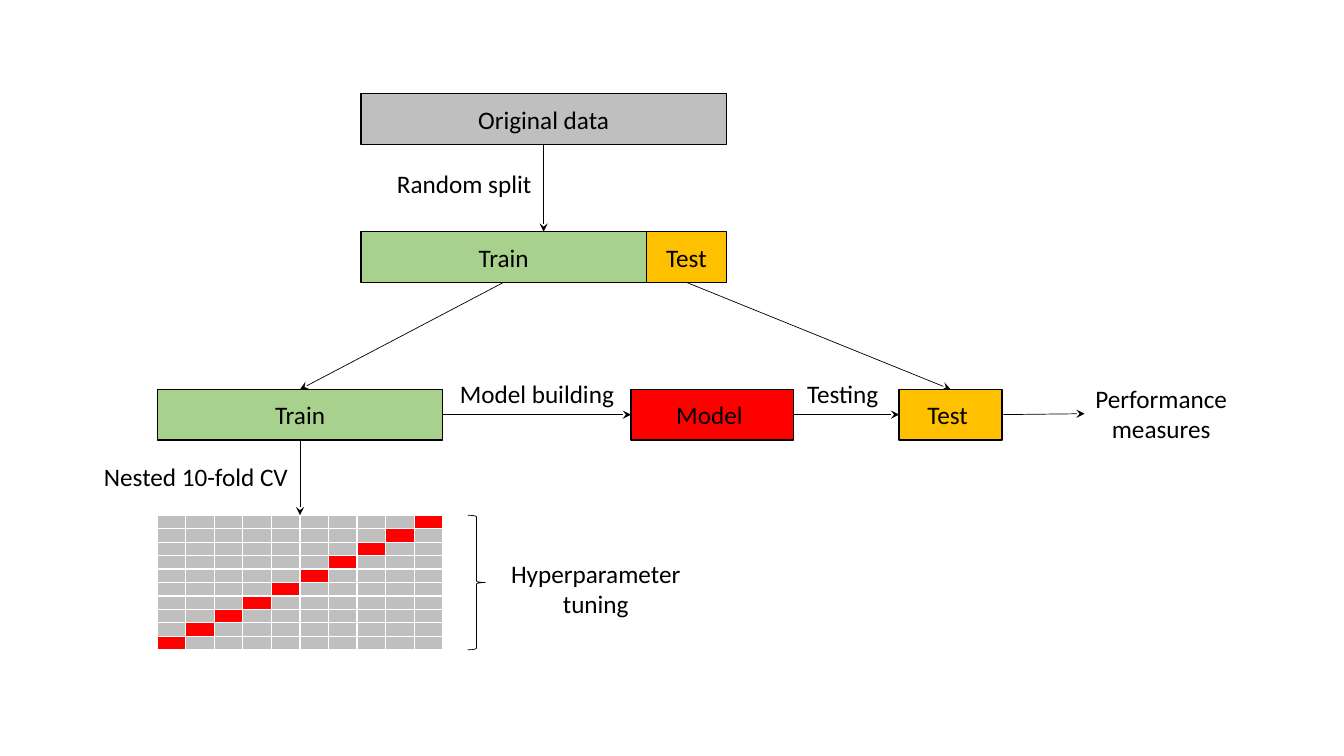
from pptx import Presentation
from pptx.dml.color import RGBColor
from pptx.enum.shapes import MSO_CONNECTOR as Link, MSO_SHAPE as Preset
from pptx.enum.text import MSO_ANCHOR as Anchor, MSO_AUTO_SIZE as Fit, PP_ALIGN as Align
from pptx.oxml.ns import qn
from pptx.util import Inches, Pt
from lxml.etree import SubElement

BLACK = RGBColor(0, 0, 0)
GRAY = RGBColor(0xBF, 0xBF, 0xBF)
GREEN = RGBColor(0xA9, 0xD1, 0x8E)
AMBER = RGBColor(0xFF, 0xC0, 0x00)
RED = RGBColor(0xFF, 0, 0)
TOP, LEFT, BOTTOM, RIGHT = range(4)


def assign(target, values):
    for name, value in values.items():
        setattr(target, name, value)


class Diagram:
    FONT = {"name": "Calibri", "size": Pt(18)}
    LABEL = {"word_wrap": False, "auto_size": Fit.SHAPE_TO_FIT_TEXT}
    CELL = {"margin_left": 0, "margin_right": 0, "margin_top": 0, "margin_bottom": 0}
    BOX_LINE, THIN_LINE = Pt(1), Pt(0.5)
    GRID = 100

    def __init__(self, deck):
        self.column = deck.slide_width / self.GRID
        self.row = deck.slide_height / self.GRID
        self.shapes = deck.slides.add_slide(deck.slide_layouts[6]).shapes

    def place(self, left, top, width, height):
        return [round(share * unit) for share, unit in
                zip((left, top, width, height), (self.column, self.row) * 2)]

    def caption(self, shape, text, align):
        shape.text_frame.text = text
        for para in shape.text_frame.paragraphs:
            para.alignment = align
            for span in para.runs:
                assign(span.font, self.FONT)
                span.font.color.rgb = BLACK

    def stroke(self, shape, width):
        shape.line.color.rgb = BLACK
        shape.line.width = width

    def box(self, text, color, *area):
        box = self.shapes.add_shape(Preset.RECTANGLE, *self.place(*area))
        box.shadow.inherit = False
        box.fill.solid()
        box.fill.fore_color.rgb = color
        self.stroke(box, self.BOX_LINE)
        box.text_frame.vertical_anchor = Anchor.MIDDLE
        self.caption(box, text, Align.CENTER)
        return box

    def label(self, text, *area, align=Align.CENTER):
        label = self.shapes.add_textbox(*self.place(*area))
        assign(label.text_frame, self.LABEL)
        self.caption(label, text, align)
        return label

    def brace(self, *area):
        brace = self.shapes.add_shape(Preset.RIGHT_BRACE, *self.place(*area))
        brace.shadow.inherit = False
        brace.fill.background()
        self.stroke(brace, self.THIN_LINE)

    def arrow(self, source, source_side, target, target_side=None):
        arrow = self.shapes.add_connector(Link.STRAIGHT, 0, 0, 0, 0)
        arrow.begin_connect(source, source_side)
        if target_side is None:
            assign(arrow, {"end_x": arrow.begin_x, "end_y": target.top})
        else:
            arrow.end_connect(target, target_side)
        self.stroke(arrow, self.THIN_LINE)
        outline = arrow._element.spPr
        SubElement(outline.find(qn("a:ln")), qn("a:tailEnd"), type="stealth")
        SubElement(outline, qn("a:effectLst"))

    def fold(self, count, held_out, *area):
        frame = self.shapes.add_table(1, count, *self.place(*area))
        for index, cell in enumerate(frame.table.iter_cells()):
            assign(cell, self.CELL)
            cell.fill.solid()
            cell.fill.fore_color.rgb = RED if index == held_out else GRAY
            para = cell.text_frame.paragraphs[0]
            SubElement(para._p, qn("a:endParaRPr"), sz="100")
        return frame


deck = Presentation()
assign(deck, {"slide_width": Inches(13.33), "slide_height": Inches(7.5)})
diagram = Diagram(deck)

BOX_HEIGHT, LABEL_HEIGHT, PAIR_HEIGHT = 6.7, 5.35, 9.45
DATA_LEFT, TRAIN_LEFT = 26.85, 11.7
TRAIN_WIDTH, TEST_WIDTH = 21.25, 5.95
SPLIT_TOP, FLOW_TOP = 30.65, 51.5
FOLDS, FOLDS_TOP, FOLD_HEIGHT = 10, 68.15, 1.78

data = diagram.box("Original data", GRAY, DATA_LEFT, 12.4, TRAIN_WIDTH + TEST_WIDTH, BOX_HEIGHT)
split_train = diagram.box("Train", GREEN, DATA_LEFT, SPLIT_TOP, TRAIN_WIDTH, BOX_HEIGHT)
split_test = diagram.box("Test", AMBER, DATA_LEFT + TRAIN_WIDTH, SPLIT_TOP, TEST_WIDTH, BOX_HEIGHT)
train = diagram.box("Train", GREEN, TRAIN_LEFT, FLOW_TOP, TRAIN_WIDTH, BOX_HEIGHT)
model = diagram.box("Model ", RED, 46.95, FLOW_TOP, 12.1, BOX_HEIGHT)
test = diagram.box("Test ", AMBER, 66.9, FLOW_TOP, 7.65, BOX_HEIGHT)

folds = [diagram.fold(FOLDS, FOLDS - 1 - index, TRAIN_LEFT, FOLDS_TOP + index * FOLD_HEIGHT,
                      TRAIN_WIDTH, FOLD_HEIGHT) for index in range(FOLDS)]
diagram.brace(34.8, FOLDS_TOP, 1.3, FOLDS * FOLD_HEIGHT)

diagram.label("Random split", 28.8, 21.6, 11.6, LABEL_HEIGHT, align=Align.LEFT)
diagram.label("Nested 10-fold CV", 7, 60.4, 15.4, LABEL_HEIGHT, align=Align.LEFT)
diagram.label("Model building", 33.4, 49.35, 13.1, LABEL_HEIGHT)
diagram.label("Testing", 59.25, 49.45, 6.9, LABEL_HEIGHT)
diagram.label("Hyperparameter\ntuning", 37.2, 73.2, 14.25, PAIR_HEIGHT)
measures = diagram.label("Performance\nmeasures", 80.7, 50, 11.4, PAIR_HEIGHT)

for link in (
    (data, BOTTOM, split_train),
    (split_train, BOTTOM, train, TOP),
    (split_test, BOTTOM, test, TOP),
    (train, BOTTOM, folds[0]),
    (train, RIGHT, model, LEFT),
    (model, RIGHT, test, LEFT),
    (test, RIGHT, measures, LEFT),
):
    diagram.arrow(*link)

deck.save("out.pptx")
